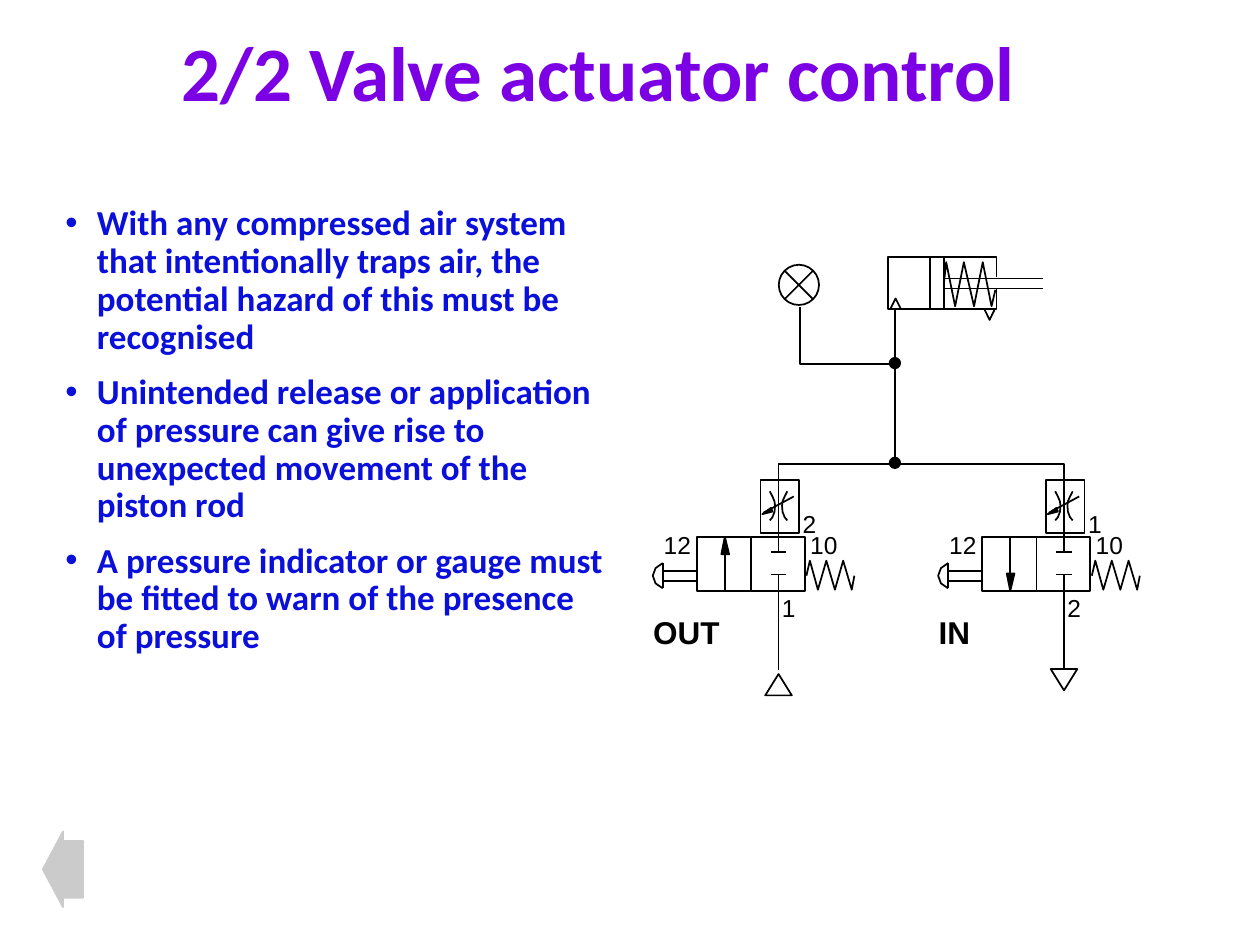
import pptx
import pptx.dml.color
import pptx.enum.shapes
import pptx.enum.text
import pptx.oxml.ns
import pptx.util
from lxml import etree

Pt = pptx.util.Pt
RGBColor = pptx.dml.color.RGBColor
Preset = pptx.enum.shapes.MSO_SHAPE
Anchor = pptx.enum.text.MSO_ANCHOR
Align = pptx.enum.text.PP_ALIGN
AutoSize = pptx.enum.text.MSO_AUTO_SIZE
qn = pptx.oxml.ns.qn

BLACK = RGBColor(0x00, 0x00, 0x00)
PURPLE = RGBColor(0x7B, 0x00, 0xE4)
BLUE = RGBColor(0x0A, 0x0F, 0xDA)
GREY = RGBColor(0xCB, 0xCB, 0xCB)

HEADING = "2/2 Valve actuator control"
HAZARDS = [
    "With any compressed air system that intentionally traps air, "
    "the potential hazard of this must be recognised",
    "Unintended release or application of pressure can give rise to "
    "unexpected movement of the piston rod",
    "A pressure indicator or gauge must be fitted to warn of the presence of pressure",
]

VALVE_TOP, VALVE_BOTTOM = 306.7, 337.7
VALVE_WIDTH = 61.7
OUT_LEFT, IN_LEFT = 398.2, 561.3
PORT = 46.7
JUNCTION_X = 511.4


def apply(target, values):
    for name, value in values.items():
        setattr(target, name, value)


class Diagram:
    title_font = {"name": "Calibri", "size": Pt(44), "bold": True}
    list_font = {"name": "Calibri", "size": Pt(20), "bold": True}
    port_font = {"name": "Arial", "size": Pt(14), "bold": False}
    name_font = {"name": "Arial", "size": Pt(18), "bold": True}
    line_width = Pt(1)

    def __init__(self, slide):
        self.slide = slide
        self.shapes = slide.shapes

    def add_wording(self, paragraph, wording, font, color):
        run = paragraph.add_run()
        run.text = wording
        apply(run.font, font)
        run.font.color.rgb = color

    def place(self, shape, box):
        apply(shape, dict(zip(("left", "top", "width", "height"), map(Pt, box))))

    def paint(self, shape, fill, line=BLACK):
        shape.shadow.inherit = False
        if fill is None:
            shape.fill.background()
        else:
            shape.fill.solid()
            shape.fill.fore_color.rgb = fill
        shape.line.color.rgb = line
        shape.line.width = self.line_width

    def title(self, wording, box):
        heading = self.shapes.title
        self.place(heading, box)
        apply(heading.text_frame, {"vertical_anchor": Anchor.MIDDLE, "word_wrap": True,
                                   "auto_size": AutoSize.NONE})
        paragraph = heading.text_frame.paragraphs[0]
        apply(paragraph, {"alignment": Align.LEFT, "line_spacing": 0.9})
        self.add_wording(paragraph, wording, self.title_font, PURPLE)

    def bullets(self, items, box):
        body = self.slide.placeholders[1]
        self.place(body, box)
        frame = body.text_frame
        apply(frame, {"auto_size": AutoSize.NONE, "word_wrap": True,
                      "vertical_anchor": Anchor.TOP})
        for index, item in enumerate(items):
            paragraph = frame.add_paragraph() if index else frame.paragraphs[0]
            apply(paragraph, {"line_spacing": 0.9, "space_before": Pt(10 if index else 0)})
            properties = paragraph._p.get_or_add_pPr()
            properties.set("marL", str(Pt(18)))
            properties.set("indent", str(-Pt(18)))
            color = etree.SubElement(properties, qn("a:buClr"))
            etree.SubElement(color, qn("a:srgbClr"), val=str(BLUE))
            etree.SubElement(properties, qn("a:buFont"), typeface="Arial")
            etree.SubElement(properties, qn("a:buChar"), char="•")
            self.add_wording(paragraph, item, self.list_font, BLUE)

    def label(self, wording, box, font):
        frame = self.shapes.add_textbox(*map(Pt, box)).text_frame
        apply(frame, {"word_wrap": False, "auto_size": AutoSize.SHAPE_TO_FIT_TEXT})
        self.add_wording(frame.paragraphs[0], wording, font, BLACK)

    def line(self, x1, y1, x2, y2):
        connector = self.shapes.add_connector(
            pptx.enum.shapes.MSO_CONNECTOR.STRAIGHT, *map(Pt, (x1, y1, x2, y2)))
        connector.line.color.rgb = BLACK
        connector.line.width = self.line_width
        etree.SubElement(connector._element.spPr, qn("a:effectLst"))

    def preset(self, kind, box, fill=None, line=BLACK):
        shape = self.shapes.add_shape(kind, *map(Pt, box))
        self.paint(shape, fill, line)
        return shape

    def outline(self, points, left=0, fill=None, close=False):
        corners = [(Pt(left + x), Pt(y)) for x, y in points]
        builder = self.shapes.build_freeform(*corners[0], scale=1.0)
        builder.add_line_segments(corners[1:], close=close)
        self.paint(builder.convert_to_shape(), fill)

    def rectangle(self, left, top, right, bottom):
        self.outline([(left, top), (right, top), (right, bottom), (left, bottom)], close=True)

    def restrictor(self, left):
        self.rectangle(left + 36.4, 274.3, left + 58.4, 304.6)
        self.line(left + 55.4, 283.7, left + 38.1, 293)
        self.outline([(37.4, 293.8), (43.2, 292.3), (42.4, 290.2)], left, BLACK, True)
        arc = [(41.7, 280.8), (43.2, 283.7), (44.4, 286.5), (44.7, 289),
               (44.4, 292.5), (43.2, 295.6), (41.7, 297.4)]
        self.outline(arc, left)
        self.outline([(2 * PORT - x, y) for x, y in arc], left)

    def valve(self, left, name, name_width, upper, lower, tip, base):
        port = left + PORT
        self.restrictor(left)
        self.rectangle(left, VALVE_TOP, left + VALVE_WIDTH, VALVE_BOTTOM)
        for x in (16, 31):
            self.line(left + x, VALVE_TOP, left + x, VALVE_BOTTOM)
        self.outline([(16, tip), (14, base), (18.4, base)], left, BLACK, True)
        for edge, stop in ((VALVE_TOP, 315.4), (VALVE_BOTTOM, 328.3)):
            self.line(port, edge, port, stop)
            self.line(port - 4.4, stop, port + 4.4, stop)
        spring = zip((90, 88.5, 83.6, 78.9, 74, 69.2, 64.6, 62.6),
                     (329, 337, 320.4, 337, 320.4, 337, 320.4, 329))
        self.outline(list(spring), left)
        self.line(left - 19.5, 321.8, left - 19.5, 336.2)
        self.outline([(-19.5, 321.8), (-23.6, 324.7), (-25.2, 329),
                      (-23.6, 333.4), (-19.5, 336.2)], left)
        for rod in (326.2, 331.9):
            self.line(left - 18.8, rod, left, rod)
        for number, x, y, width in (("12", -26, 299.5, 30.2), ("10", 57.7, 299.5, 30.2),
                                    (upper, 53.4, 287.3, 22.3), (lower, 41.5, 335.5, 22.3)):
            self.label(number, (left + x, y, width, 23.8), self.port_font)
        self.label(name, (left - 32, 347, name_width, 28.8), self.name_font)
        self.line(port, VALVE_BOTTOM, port, 383)

    def indicator(self, left, top, size):
        self.preset(Preset.OVAL, (left, top, size, size))
        near, far = size * 0.15, size * 0.85
        self.line(left + near, top + near, left + far, top + far)
        self.line(left + far, top + near, left + near, top + far)

    def cylinder(self):
        for rod in (159.1, 164.9):
            self.line(539.3, rod, 596.2, rod)
        for piston in (531.4, 539.3):
            self.line(piston, 146.9, piston, 177.1)
        self.outline([(569.5, 158.4), (569.5, 146.9), (507.6, 146.9),
                      (507.6, 176.6), (569.5, 176.6), (569.5, 164.9)])
        spring = zip((568.8, 566.6, 561.6, 556.6, 550.8, 545.8, 540.7, 539.3),
                     (165.6, 175, 149.8, 175, 149.8, 175, 149.8, 162.7))
        self.outline(list(spring))
        for left, tip in ((508.8, 170.6), (562.5, 182.8)):
            self.outline([(0, 176.6), (3, tip), (6, 176.6)], left)


def main():
    deck = pptx.Presentation()
    apply(deck, {"slide_width": Pt(720), "slide_height": Pt(540)})
    diagram = Diagram(deck.slides.add_slide(deck.slide_layouts[1]))
    diagram.title(HEADING, (96.5, 14.4, 537.8, 58.3))
    diagram.bullets(HAZARDS, (30.2, 113.8, 324, 354.2))

    diagram.indicator(445, 151.3, 23)
    diagram.outline([(457.2, 175.7), (457.2, 208), (JUNCTION_X, 208)])
    diagram.cylinder()
    diagram.line(JUNCTION_X, 177.1, JUNCTION_X, 265)
    out_port, in_port = OUT_LEFT + PORT, IN_LEFT + PORT
    diagram.outline([(out_port, VALVE_TOP), (out_port, 265), (in_port, 265), (in_port, VALVE_TOP)])
    for junction in (207.5, 264.5):
        diagram.preset(Preset.OVAL, (JUNCTION_X - 3, junction - 3, 6, 6), BLACK)

    diagram.valve(OUT_LEFT, "OUT", 52.6, "2", "1", VALVE_TOP, VALVE_TOP + 10)
    diagram.valve(IN_LEFT, "IN", 32.4, "1", "2", VALVE_BOTTOM, VALVE_BOTTOM - 10)
    diagram.preset(Preset.ISOSCELES_TRIANGLE, (out_port - 7.6, 385.2, 15.2, 12.2))
    exhaust = diagram.preset(Preset.ISOSCELES_TRIANGLE, (in_port - 7.6, 382.3, 15.2, 12.2))
    exhaust.rotation = 180

    back_arrow = diagram.preset(Preset.LEFT_ARROW, (24.5, 475.2, 23, 43.2), GREY, GREY)
    back_arrow.adjustments[0] = 0.75
    deck.save("out.pptx")


if __name__ == "__main__":
    main()
